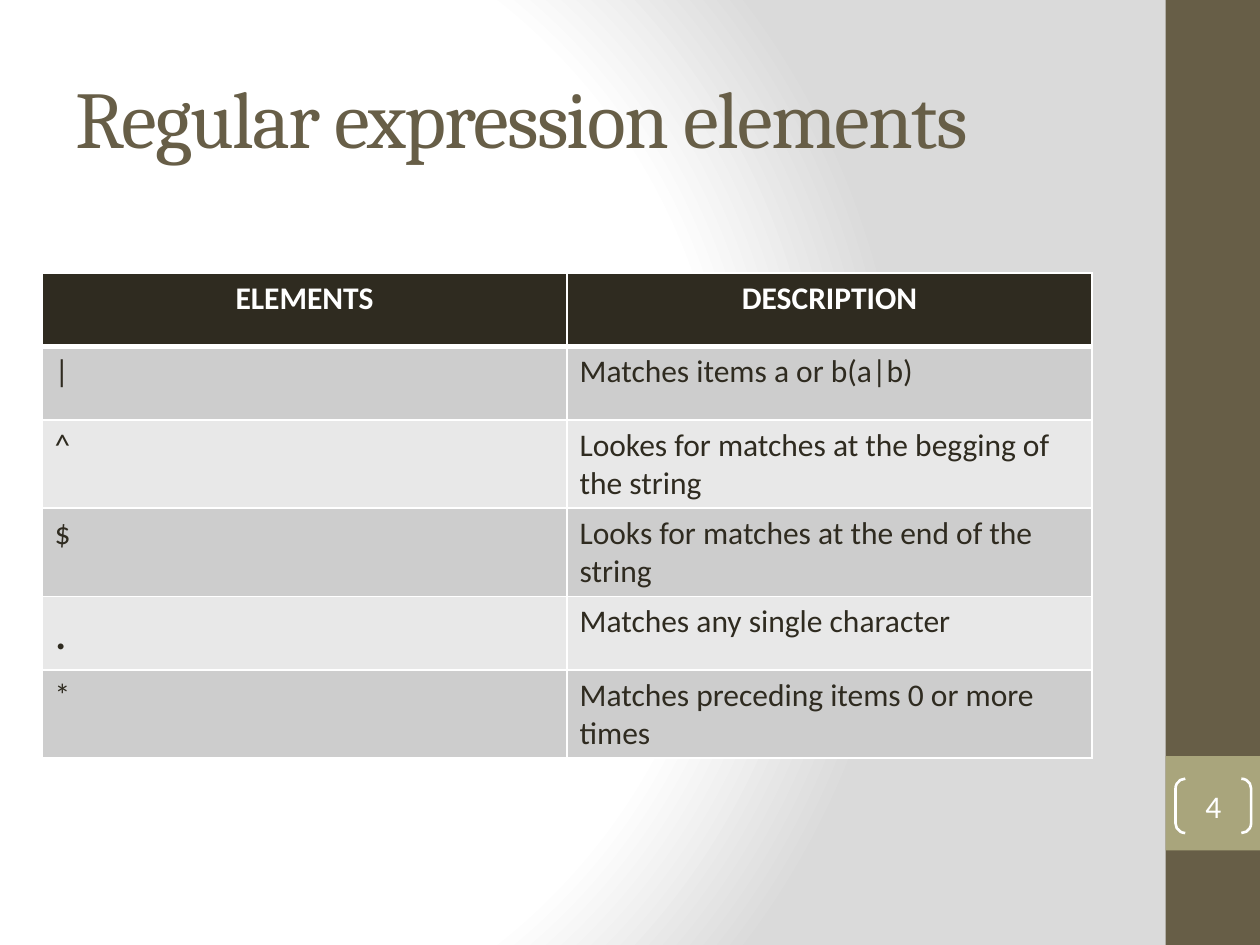
from lxml import etree
from pptx import Presentation
from pptx.dml.color import RGBColor
from pptx.enum import shapes, text
from pptx.oxml import parse_xml
from pptx.util import Pt

DRAWING = "http://schemas.openxmlformats.org/drawingml/2006/main"
BROWN, OLIVE, DARK, WHITE = "675E47", "A9A57C", "2F2B20", "FFFFFF"
BANDS = ["CDCDCD", "E8E8E8"]


def color(hex_string):
    return RGBColor.from_string(hex_string)


def write(frame, words, size=18, font="Calibri", fill=DARK, bold=False,
          align=text.PP_ALIGN.LEFT, spacing=None):
    paragraph = frame.paragraphs[0]
    paragraph.alignment = align
    run = paragraph.add_run()
    run.text = words
    run.font.size, run.font.name, run.font.bold = Pt(size), font, bold
    run.font.color.rgb = color(fill)
    if spacing is not None:
        run.font._element.set("spc", str(spacing))


presentation = Presentation()
presentation.slide_width, presentation.slide_height = Pt(720), Pt(540)
slide = presentation.slides.add_slide(presentation.slide_layouts[6])

# Background with a circular gradient
slide.background.fill.gradient()
gradient = slide.element.xpath(".//p:bgPr/a:gradFill")[0]
stops = "".join(
    f'<a:gs pos="{position * 1000}"><a:srgbClr val="{shade}"/></a:gs>'
    for position, shade in [(0, WHITE), (75, WHITE), (100, "DADADA")])
gradient.getparent().replace(gradient, parse_xml(
    f'<a:gradFill xmlns:a="{DRAWING}" rotWithShape="1"><a:gsLst>{stops}</a:gsLst>'
    '<a:path path="circle"><a:fillToRect l="20000" t="50000" r="100000" b="50000"/>'
    '</a:path></a:gradFill>'))

# Side band and page number block
for top, height, fill in [(0, 540, BROWN), (432, 54, OLIVE)]:
    band = slide.shapes.add_shape(
        shapes.MSO_SHAPE.RECTANGLE, Pt(666), Pt(top), Pt(54), Pt(height))
    band.shadow.inherit = False
    band.fill.solid()
    band.fill.fore_color.rgb = color(fill)
    band.line.fill.background()

# Title
title = slide.shapes.add_textbox(Pt(36), Pt(21.6), Pt(600), Pt(90)).text_frame
title.word_wrap = True
title.vertical_anchor = text.MSO_ANCHOR.MIDDLE
write(title, "Regular expression elements", size=46, font="Cambria", fill=BROWN,
      spacing=-100)

# Table of elements: symbol, description, row height, symbol size
rows = [
    ("ELEMENTS", "DESCRIPTION", 42, 18),
    ("|", "Matches items a or b(a|b)", 42, 18),
    ("^", "Lookes for matches at the begging of the string", 36, 18),
    ("$", "Looks for matches at the end of the string", 36, 18),
    (".", "Matches any single character", 42, 28),
    ("*", "Matches preceding items 0 or more times", 42, 18),
]
table = slide.shapes.add_table(
    len(rows), 2, Pt(24), Pt(156), Pt(600), Pt(240)).table
for column in table.columns:
    column.width = Pt(300)

for index, (symbol, description, height, symbol_size) in enumerate(rows):
    table.rows[index].height = Pt(height)
    header = index == 0
    for cell, words, size in zip(table.rows[index].cells, (symbol, description),
                                 (symbol_size, 18)):
        cell.fill.solid()
        cell.fill.fore_color.rgb = color(DARK if header else BANDS[(index - 1) % 2])
        write(cell.text_frame, words, size=size, bold=header,
              fill=WHITE if header else DARK,
              align=text.PP_ALIGN.CENTER if header else text.PP_ALIGN.LEFT)

        # White borders, thicker below the header
        widths = {"lnL": 1, "lnR": 1, "lnT": 3 if index == 1 else 1,
                  "lnB": 3 if header else 1}
        properties = cell._tc.get_or_add_tcPr()
        for place, (side, width) in enumerate(widths.items()):
            border = etree.Element(f"{{{DRAWING}}}{side}", w=str(Pt(width)))
            solid = etree.SubElement(border, f"{{{DRAWING}}}solidFill")
            etree.SubElement(solid, f"{{{DRAWING}}}srgbClr", val=WHITE)
            properties.insert(place, border)

# Page number in brackets
bracket = slide.shapes.add_shape(
    shapes.MSO_SHAPE.DOUBLE_BRACKET, Pt(671.75), Pt(445), Pt(43.2), Pt(31))
bracket.shadow.inherit = False
bracket.adjustments[0] = 0.18
bracket.fill.background()
bracket.line.color.rgb = color(WHITE)
bracket.line.width = Pt(1.5)
number = bracket.text_frame
number.margin_left = number.margin_right = number.margin_top = number.margin_bottom = 0
number.vertical_anchor = text.MSO_ANCHOR.MIDDLE
write(number, "4", fill=WHITE, align=text.PP_ALIGN.CENTER)

presentation.save("out.pptx")
